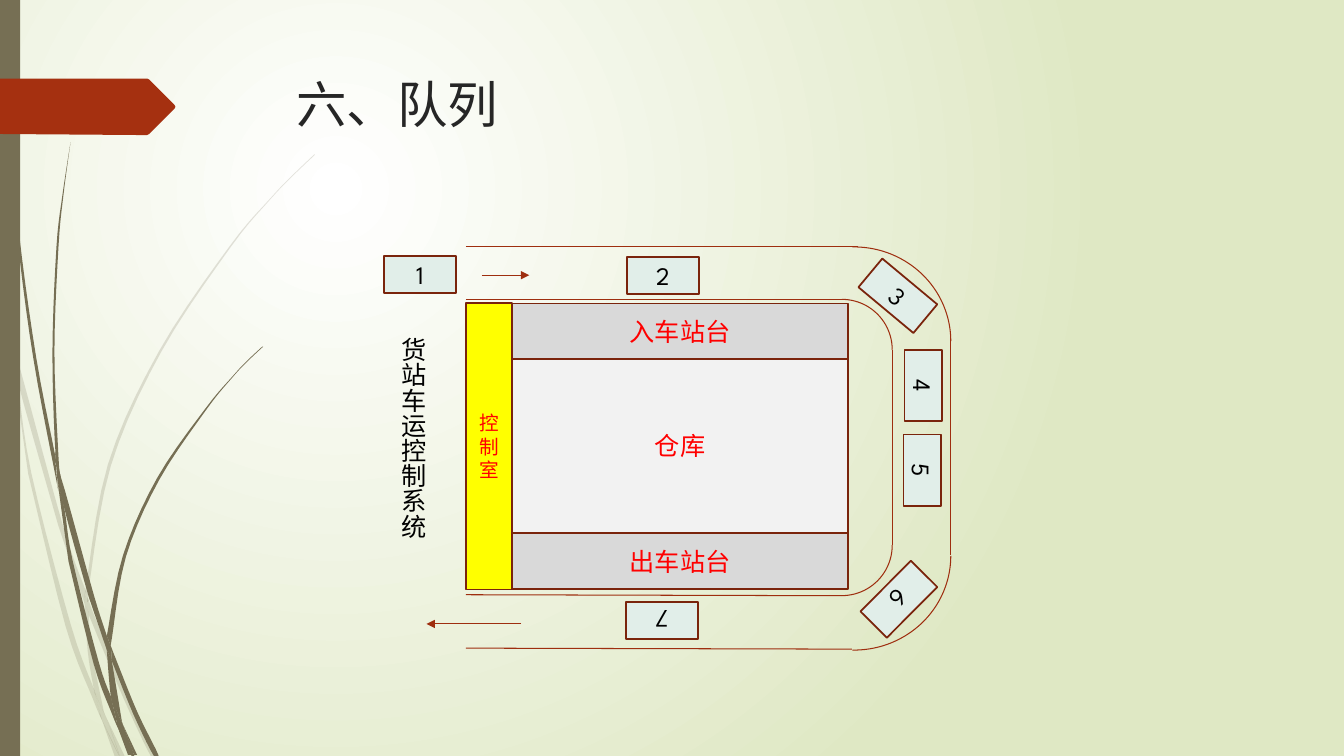
from dataclasses import dataclass
from typing import Any

from lxml.etree import SubElement
from pptx import Presentation
from pptx.dml.color import RGBColor
from pptx.enum.shapes import MSO_CONNECTOR, MSO_SHAPE
from pptx.enum.text import MSO_ANCHOR, MSO_AUTO_SIZE, PP_ALIGN
from pptx.oxml.ns import qn
from pptx.util import Inches, Pt

COLORS = {
    "white": "FFFFFF", "meadow": "DFE8C4", "stem": "766F54", "banner": "A53010",
    "title": "262626", "road": "9E2E0F", "border": "7A240C", "truck": "E1EEE9",
    "store": "F2F2F2", "platform": "D9D9D9", "control": "FFFF00",
    "red": "FF0000", "black": "000000",
}
FONT = "League Spartan"
Point = tuple[float, float]


@dataclass
class Blade:
    outward: list[Point]
    inward: list[Point]


@dataclass
class Block:
    label: str
    left: float
    top: float
    width: float = 0.71
    height: float = 0.37
    rotation: float = 0
    fill: str = "truck"
    ink: str = "black"
    size: int = 18


@dataclass
class Lane:
    start: Point
    end: Point
    arrow: bool = False


@dataclass
class Bend:
    left: float
    top: float
    width: float
    height: float
    start_angle: float = 162
    flipped: bool = False


PALE_BLADES = [
    Blade([(0.11, 3.5), (0.09, 3.22), (0, 2.82)], [(0, 2.99), (0.1, 3.44), (0.11, 3.5)]),
    Blade([(0.58, 5.22), (0.84, 5.99)], [(0.85, 5.86), (0.62, 5.2), (0.14, 3.45), (0.17, 3.76), (0.58, 5.22)]),
    Blade([(0.92, 6.07), (0.88, 5.96)], [(0.88, 6.1), (1.23, 6.94), (1.5, 7.51), (1.55, 7.51), (1.27, 6.92), (0.92, 6.07)]),
    Blade([(1.19, 7.51), (1.24, 7.51)], [(1.05, 7.11)]),
    Blade([(0.93, 6.83), (0.7, 6.19), (0.31, 4.69), (0.17, 3.76), (0.11, 3.5)],
          [(0.28, 4.7), (0.65, 6.21), (0.92, 6.93), (1.01, 7.14), (0.99, 7.07)]),
    Blade([(0.84, 5.99), (0.87, 6.46), (0.93, 6.83), (0.96, 6.92), (1.05, 7.11)],
          [(1.03, 7.06), (0.91, 6.46), (0.88, 6.1), (0.88, 6.08)]),
    Blade([(0.88, 5.96), (0.88, 5.84), (1.1, 4.62), (1.6, 3.49), (2.29, 2.45), (2.68, 1.98), (2.9, 1.75), (3.12, 1.54)],
          [(3.12, 1.53), (2.89, 1.75), (2.68, 1.97), (2.28, 2.44), (1.58, 3.48), (1.07, 4.61), (0.85, 5.84), (0.85, 5.86)]),
    Blade([(1.01, 7.14), (1.14, 7.51)], [(1.19, 7.51)]),
    Blade([(0.88, 6.08), (0.88, 6.1), (0.88, 5.96)], [(0.85, 5.86), (0.84, 5.99)]),
    Blade([(0.96, 6.92), (0.93, 6.83)], [(0.99, 7.07), (1.01, 7.14), (1.19, 7.51), (1.05, 7.11)]),
]
DARK_BLADES = [
    Blade([(0.04, 0), (0.03, 0), (0.04, 0.48), (0.07, 1.1), (0.17, 2.33), (0.33, 3.55), (0.56, 4.77), (0.57, 4.81)],
          [(0.55, 4.57), (0.55, 4.53), (0.36, 3.55), (0.19, 2.32), (0.08, 1.09), (0.05, 0.48), (0.04, 0)]),
    Blade([(0.88, 5.92), (1.06, 6.45)],
          [(1.06, 6.33), (1.06, 6.31), (0.93, 5.9), (0.6, 4.72), (0.64, 5.05), (0.88, 5.92)]),
    Blade([(1.13, 6.49), (1.1, 6.41)], [(1.11, 6.56), (1.32, 7.08), (1.52, 7.49), (1.57, 7.49), (1.36, 7.06), (1.13, 6.49)]),
    Blade([(1.1, 6.91), (0.98, 6.57), (0.72, 5.56), (0.64, 5.05), (0.57, 4.77)],
          [(0.68, 5.57), (0.93, 6.59), (1.11, 7.08), (1.17, 7.22), (1.16, 7.17)]),
    Blade([(0.6, 4.72), (0.58, 4.53), (0.54, 3.49), (0.58, 2.45), (0.63, 1.93), (0.7, 1.41)],
          [(0.7, 1.41), (0.62, 1.93), (0.56, 2.45), (0.52, 3.49), (0.55, 4.49), (0.6, 4.72)]),
    Blade([(1.33, 7.49), (1.36, 7.49)], [(1.22, 7.19)]),
    Blade([(0.57, 4.77), (0.64, 5.05)], [(0.6, 4.72), (0.55, 4.49), (0.55, 4.53)]),
    Blade([(1.1, 6.41), (1.11, 6.33), (1.25, 5.52), (1.58, 4.76), (2.05, 4.06), (2.31, 3.74), (2.45, 3.59), (2.61, 3.44)],
          [(2.6, 3.44), (2.45, 3.58), (2.31, 3.73), (2.04, 4.05), (1.56, 4.74), (1.22, 5.51), (1.06, 6.31)]),
    Blade([(1.17, 7.22), (1.27, 7.49)], [(1.31, 7.49)]),
    Blade([(1.06, 6.45), (1.1, 6.91), (1.16, 7.06), (1.22, 7.19)], [(1.21, 7.16), (1.11, 6.56), (1.09, 6.51)]),
    Blade([(1.06, 6.45), (1.09, 6.51), (1.11, 6.56)], [(1.1, 6.41), (1.06, 6.31)]),
    Blade([(1.16, 7.06), (1.1, 6.91)], [(1.16, 7.17), (1.17, 7.22), (1.3, 7.49), (1.33, 7.49), (1.22, 7.19)]),
]
BANNER = [(0, 0.78), (1.46, 0.78), (1.48, 0.79), (1.73, 1.04), (1.74, 1.06),
          (1.73, 1.08), (1.48, 1.33), (1.46, 1.34), (1.36, 1.34), (0, 1.33)]
LANES = [
    Lane((4.62, 2.45), (8.51, 2.45)), Lane((9.43, 3.32), (9.43, 5.51)),
    Lane((4.62, 2.97), (8.35, 2.97)), Lane((8.85, 3.47), (8.85, 5.41)),
    Lane((4.62, 5.9), (8.35, 5.91)), Lane((4.62, 6.43), (8.45, 6.44)),
    Lane((4.78, 2.73), (5.25, 2.73), True), Lane((5.17, 6.19), (4.23, 6.19), True),
]
BENDS = [
    Bend(7.51, 2.45, 1.92, 1.87, 161.39), Bend(7.85, 2.97, 1, 1),
    Bend(7.51, 4.58, 1.92, 1.87, 161.39, True), Bend(7.85, 4.91, 1, 1, flipped=True),
]
BLOCKS = [
    Block("1", 3.81, 2.54), Block("2", 6.22, 2.55), Block("3", 8.55, 2.75, rotation=39.8),
    Block("4", 8.8, 3.64, rotation=90), Block("5", 8.79, 4.48, rotation=90),
    Block("仓库", 5.08, 3.55, 3.33, 1.74, fill="store", ink="red"),
    Block("控制室", 4.62, 3.01, 0.46, 2.84, fill="control", ink="red", size=14),
    Block("出车站台", 5.08, 5.29, 3.33, 0.55, fill="platform", ink="red"),
    Block("入车站台", 5.08, 3.01, 3.33, 0.55, fill="platform", ink="red"),
    Block("7", 6.21, 5.97, rotation=180), Block("6", 8.56, 5.76, rotation=134.9),
]


def rgb(name: str) -> RGBColor:
    return RGBColor.from_string(COLORS[name])


def assign(target: Any, values: dict[str, Any]) -> None:
    for name, value in values.items():
        setattr(target, name, value)


def place(shape: Any, *lengths: float) -> None:
    assign(shape, dict(zip(("left", "top", "width", "height"), map(Inches, lengths))))


def paint(shape: Any, color: str) -> None:
    shape.shadow.inherit = False
    shape.fill.solid()
    shape.fill.fore_color.rgb = rgb(color)
    shape.line.fill.background()


def stroke(shape: Any, color: str, width: float) -> None:
    shape.line.color.rgb = rgb(color)
    shape.line.width = Pt(width)


def write(shape: Any, text: str, size: int, ink: str, align: PP_ALIGN, frame: dict[str, Any]) -> None:
    assign(shape.text_frame, frame)
    para = shape.text_frame.paragraphs[0]
    para.alignment = align
    span = para.add_run()
    span.text = text
    assign(span.font, {"name": FONT, "size": Pt(size)})
    span.font.color.rgb = rgb(ink)


def smooth(edge: list[Point], steps: int = 5) -> list[Point]:
    padded = [edge[0], *edge, edge[-1]]
    curve = [edge[0]]
    for a, b, c, d in zip(padded, padded[1:], padded[2:], padded[3:]):
        for step in range(1, steps + 1):
            t = step / steps
            curve.append(tuple(
                q + t * (r - p) / 2 + t**2 * (2 * p - 5 * q + 4 * r - s) / 2 + t**3 * (3 * q - p - 3 * r + s) / 2
                for p, q, r, s in zip(a, b, c, d)))
    return curve


def draw_outline(shapes: Any, points: list[Point], color: str) -> Any:
    corners = [(Inches(x), Inches(y)) for x, y in points]
    builder = shapes.build_freeform(*corners[0])
    builder.add_line_segments(corners[1:], close=True)
    outline = builder.convert_to_shape()
    paint(outline, color)
    return outline


def draw_blades(page: Any, blades: list[Blade], opacity: int) -> None:
    group = page.shapes.add_group_shape()
    for blade in blades:
        leaf = draw_outline(group.shapes, smooth(blade.outward) + smooth(blade.inward), "stem")
        if opacity < 100:
            tint = leaf._element.spPr.find(qn("a:solidFill"))[0]
            SubElement(tint, qn("a:alpha"), val=str(opacity * 1000))


def draw_lane(page: Any, lane: Lane) -> None:
    line = page.shapes.add_connector(MSO_CONNECTOR.STRAIGHT, *map(Inches, lane.start + lane.end))
    stroke(line, "road", 0.75)
    if lane.arrow:
        SubElement(line.line._get_or_add_ln(), qn("a:tailEnd"), type="triangle")
    SubElement(line._element.spPr, qn("a:effectLst"))


def draw_bend(page: Any, bend: Bend) -> None:
    arc = page.shapes.add_shape(MSO_SHAPE.ARC, *map(Inches, (bend.left, bend.top, bend.width, bend.height)))
    arc.adjustments[0] = bend.start_angle
    arc.adjustments[1] = 0
    arc.shadow.inherit = False
    arc.fill.background()
    stroke(arc, "road", 0.75)
    if bend.flipped:
        arc._element.spPr.xfrm.set("flipV", "1")


def draw_block(page: Any, block: Block) -> None:
    box = page.shapes.add_shape(MSO_SHAPE.RECTANGLE, *map(Inches, (block.left, block.top, block.width, block.height)))
    box.rotation = block.rotation
    paint(box, block.fill)
    stroke(box, "border", 1.25)
    write(box, block.label, block.size, block.ink, PP_ALIGN.CENTER,
          {"word_wrap": True, "vertical_anchor": MSO_ANCHOR.MIDDLE})


def draw_background(page: Any) -> None:
    fill = page.background.fill
    fill.gradient()
    for stop, color, position in zip(fill.gradient_stops, ("white", "meadow"), (0, 1)):
        stop.color.rgb = rgb(color)
        stop.position = position
    gradient = next(page._element.iter(qn("a:gradFill")))
    gradient.remove(gradient.find(qn("a:lin")))
    circle = SubElement(gradient, qn("a:path"), {"path": "circle"})
    SubElement(circle, qn("a:fillToRect"), l="50000", t="50000", r="100000", b="100000")


def main() -> None:
    deck = Presentation()
    assign(deck, {"slide_width": Inches(13.33), "slide_height": Inches(7.5)})
    page = deck.slides.add_slide(deck.slide_layouts[5])
    draw_background(page)
    draw_blades(page, PALE_BLADES, 20)
    draw_blades(page, DARK_BLADES, 100)
    sidebar = page.shapes.add_shape(MSO_SHAPE.RECTANGLE, 0, 0, Inches(0.2), Inches(7.5))
    paint(sidebar, "stem")
    draw_outline(page.shapes, BANNER, "banner")
    title = page.shapes.title
    place(title, 2.84, 0.68, 9.75, 1.4)
    write(title, "六、队列", 36, "title", PP_ALIGN.LEFT,
          {"vertical_anchor": MSO_ANCHOR.TOP, "auto_size": MSO_AUTO_SIZE.NONE, "word_wrap": True})
    for lane in LANES:
        draw_lane(page, lane)
    for bend in BENDS:
        draw_bend(page, bend)
    for block in BLOCKS:
        draw_block(page, block)
    caption = page.shapes.add_textbox(*map(Inches, (3.8, 3.25, 0.5, 2.12)))
    write(caption, "货站车运控制系统", 18, "black", PP_ALIGN.LEFT,
          {"word_wrap": False, "auto_size": MSO_AUTO_SIZE.SHAPE_TO_FIT_TEXT})
    caption.text_frame._txBody.bodyPr.set("vert", "eaVert")
    deck.save("out.pptx")


if __name__ == "__main__":
    main()
